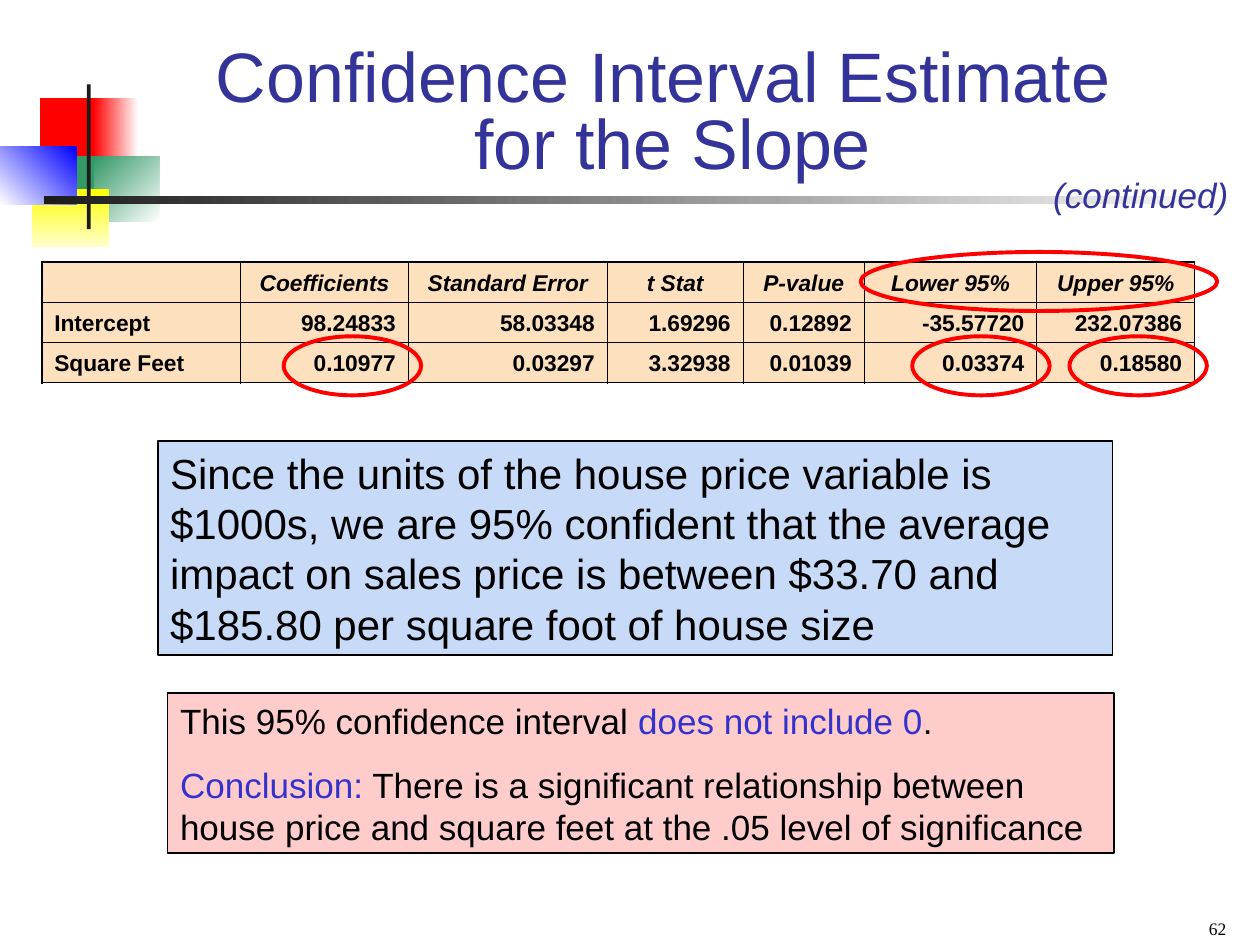
from lxml.etree import SubElement
from pptx import Presentation
from pptx.dml.color import RGBColor
from pptx.enum.shapes import MSO_SHAPE as Preset
from pptx.enum.text import MSO_ANCHOR as Anchor, PP_ALIGN as Align
from pptx.oxml.ns import qn
from pptx.util import Cm, Pt

BLACK = RGBColor(0x00, 0x00, 0x00)
WHITE = RGBColor(0xFF, 0xFF, 0xFF)
CHARCOAL = RGBColor(0x1C, 0x1C, 0x1C)
RED = RGBColor(0xFF, 0x00, 0x00)
GREEN = RGBColor(0x33, 0x99, 0x66)
YELLOW = RGBColor(0xFF, 0xFF, 0x00)
CREAM = RGBColor(0xFF, 0xFF, 0xCC)
BLUE = RGBColor(0x00, 0x00, 0xFF)
NAVY = RGBColor(0x33, 0x33, 0x99)
INDIGO = RGBColor(0x33, 0x33, 0xCC)
SKY = RGBColor(0xC7, 0xDA, 0xF7)
PEACH = RGBColor(0xFD, 0xE0, 0xBD)
PINK = RGBColor(0xFF, 0xCC, 0xCC)


def add_block(preset, place, fill=None, line=None, weight=1):
    block = page.shapes.add_shape(preset, *[Cm(length) for length in place])
    block.shadow.inherit = False
    if fill is None:
        block.fill.background()
    else:
        block.fill.solid()
        block.fill.fore_color.rgb = fill
    if line is None:
        block.line.fill.background()
    else:
        block.line.color.rgb = line
        block.line.width = Pt(weight)
    return block


def write(para, spans, align, **formats):
    para.alignment = align
    for text, color in spans:
        span = para.add_run()
        span.text = text
        span.font.color.rgb = color
        for name, value in ({"name": "Arial"} | formats).items():
            setattr(span.font, name, value)


deck = Presentation()
deck.slide_width, deck.slide_height = Cm(25.4), Cm(19.05)
page = deck.slides.add_slide(deck.slide_layouts[6])

ornaments = [
    ((0.81, 1.98, 1.22, 1.32), RED, None, 0),
    ((1.88, 1.98, 0.91, 1.32), WHITE, RED, 180),
    ((1.91, 3.15, 1.3, 1.32), WHITE, GREEN, 135),
    ((1.09, 3.15, 0.81, 1.32), GREEN, None, 0),
    ((0.64, 3.81, 1.55, 1.17), YELLOW, CREAM, 270),
    ((0, 2.95, 1.55, 1.17), BLUE, WHITE, 225),
    ((1.75, 1.7, 0.08, 2.92), CHARCOAL, None, 0),
    ((0.89, 3.96, 24.16, 0.15), WHITE, CHARCOAL, 180),
]
for place, start, end, angle in ornaments:
    ornament = add_block(Preset.RECTANGLE, place, start)
    if end is not None:
        ornament.fill.gradient()
        ornament.fill.gradient_angle = angle
        for stop, color in zip(ornament.fill.gradient_stops, (start, end)):
            stop.color.rgb = color

rows = [
    ["", "Coefficients", "Standard Error", "t Stat", "P-value", "Lower 95%", "Upper 95%"],
    ["Intercept", "98.24833", "58.03348", "1.69296", "0.12892", "-35.57720", "232.07386"],
    ["Square Feet", "0.10977", "0.03297", "3.32938", "0.01039", "0.03374", "0.18580"],
]
widths = [4.01, 3.38, 4.01, 2.74, 2.44, 3.48, 3.18]
row_height = 0.81
table = page.shapes.add_table(
    len(rows), len(widths), Cm(0.84), Cm(5.28), Cm(sum(widths)), Cm(row_height * len(rows))
).table
table.first_row = table.horz_banding = False
for column, width in zip(table.columns, widths):
    column.width = Cm(width)
for r, row in enumerate(rows):
    table.rows[r].height = Cm(row_height)
    for c, text in enumerate(row):
        cell = table.cell(r, c)
        outer = {"L": c == 0, "R": c == len(widths) - 1, "T": r == 0, "B": r == len(rows) - 1}
        for side, thick in outer.items():
            border = SubElement(
                cell._tc.get_or_add_tcPr(), qn(f"a:ln{side}"), w=str(Pt(1.08 if thick else 0.45))
            )
            SubElement(SubElement(border, qn("a:solidFill")), qn("a:srgbClr"), val=str(BLACK))
        cell.fill.solid()
        cell.fill.fore_color.rgb = PEACH
        cell.vertical_anchor = Anchor.BOTTOM
        para = cell.text_frame.paragraphs[0]
        align = Align.CENTER if r == 0 else Align.LEFT if c == 0 else Align.RIGHT
        if text:
            write(para, [(text, BLACK)], align, size=Pt(13), bold=True, italic=r == 0)
        else:
            SubElement(para._p, qn("a:endParaRPr"), sz="1300")

for left, top, width in [
    (18.39, 6.78, 2.77), (21.56, 6.78, 2.77), (17.35, 5.08, 7.19), (5.72, 6.78, 2.77)
]:
    add_block(Preset.OVAL, (left, top, width, 1.19), line=RED, weight=2.25)

interpretation = (
    "Since the units of the house price variable is $1000s, we are 95% confident that "
    "the average impact on sales price is between $33.70 and $185.80 per square foot of house size"
)
conclusion = (
    " There is a significant relationship between house price and square feet "
    "at the .05 level of significance"
)
panels = [
    ((3.18, 8.89, 19.25, 4.32), SKY, 24, [[(interpretation, BLACK)]]),
    ((3.38, 13.97, 19.08, 3.23), PINK, 20, [
        [("This 95% confidence interval ", BLACK), ("does not include 0", INDIGO), (".", BLACK)],
        [("Conclusion:", INDIGO), (conclusion, BLACK)],
    ]),
]
for place, fill, size, paragraphs in panels:
    frame = add_block(Preset.RECTANGLE, place, fill, BLACK).text_frame
    frame.word_wrap = True
    frame.vertical_anchor = Anchor.TOP
    for number, spans in enumerate(paragraphs):
        para = frame.add_paragraph() if number else frame.paragraphs[0]
        if number:
            para.space_before = Pt(12.5)
        write(para, spans, Align.LEFT, size=Pt(size))

labels = [
    ((2.74, 0.84, 21.64, 2.97), ["Confidence Interval Estimate ", "for the Slope"], NAVY,
     Align.CENTER, {"word_wrap": True, "vertical_anchor": Anchor.BOTTOM}, {"size": Pt(40)}),
    ((20.98, 3.38, 4.04, 1.12), ["(continued)"], NAVY,
     Align.LEFT, {"word_wrap": False}, {"size": Pt(20), "italic": True}),
    ((19.05, 18.16, 5.92, 0.89), ["62"], BLACK,
     Align.RIGHT, {"word_wrap": True, "vertical_anchor": Anchor.BOTTOM},
     {"size": Pt(10), "name": "Times New Roman"}),
]
for place, lines, color, align, layout, formats in labels:
    box = page.shapes.add_textbox(*[Cm(length) for length in place])
    for name, value in layout.items():
        setattr(box.text_frame, name, value)
    para = box.text_frame.paragraphs[0]
    for number, line in enumerate(lines):
        if number:
            para.add_line_break()
            para.line_spacing = 0.8
        write(para, [(line, color)], align, **formats)

deck.save("out.pptx")
